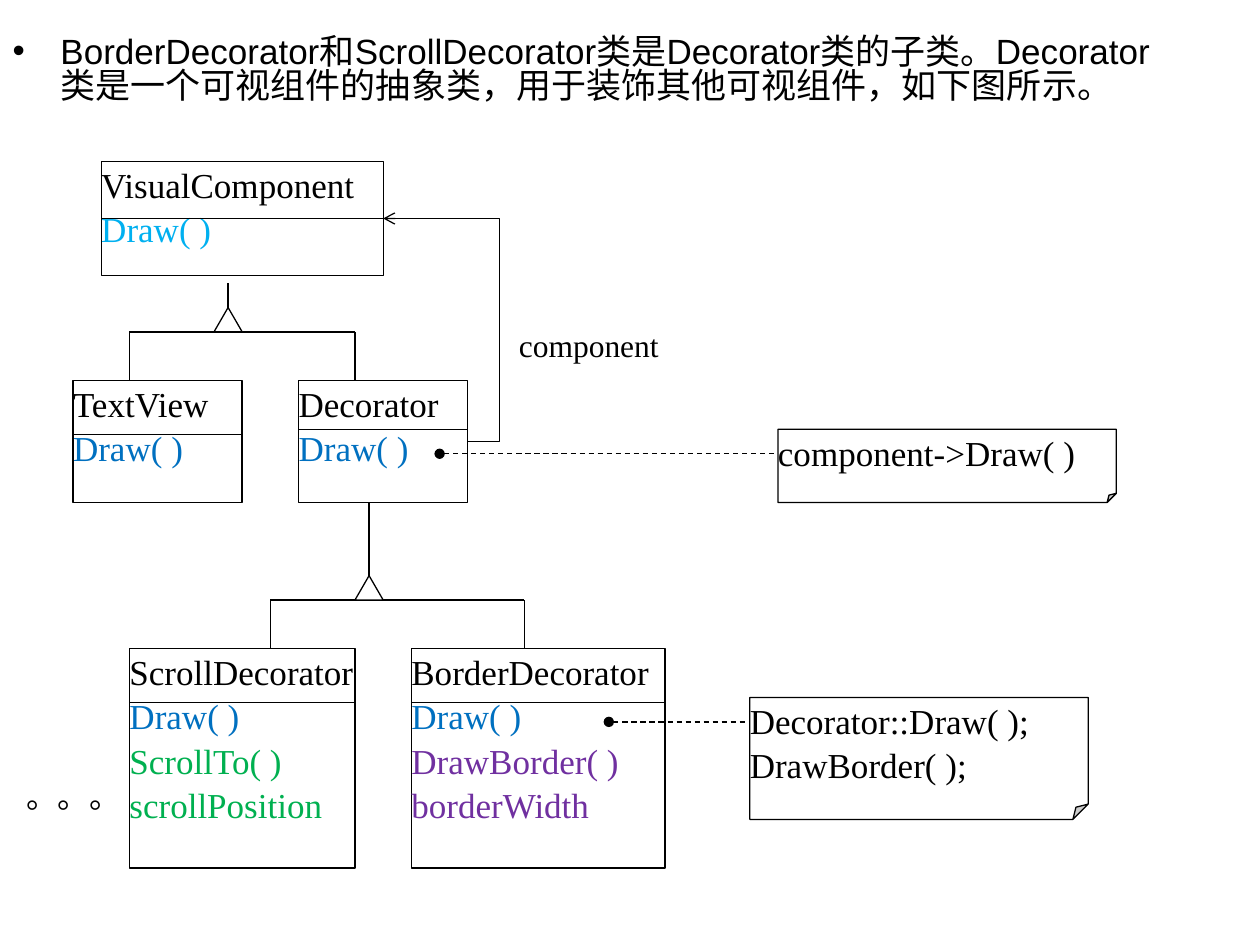
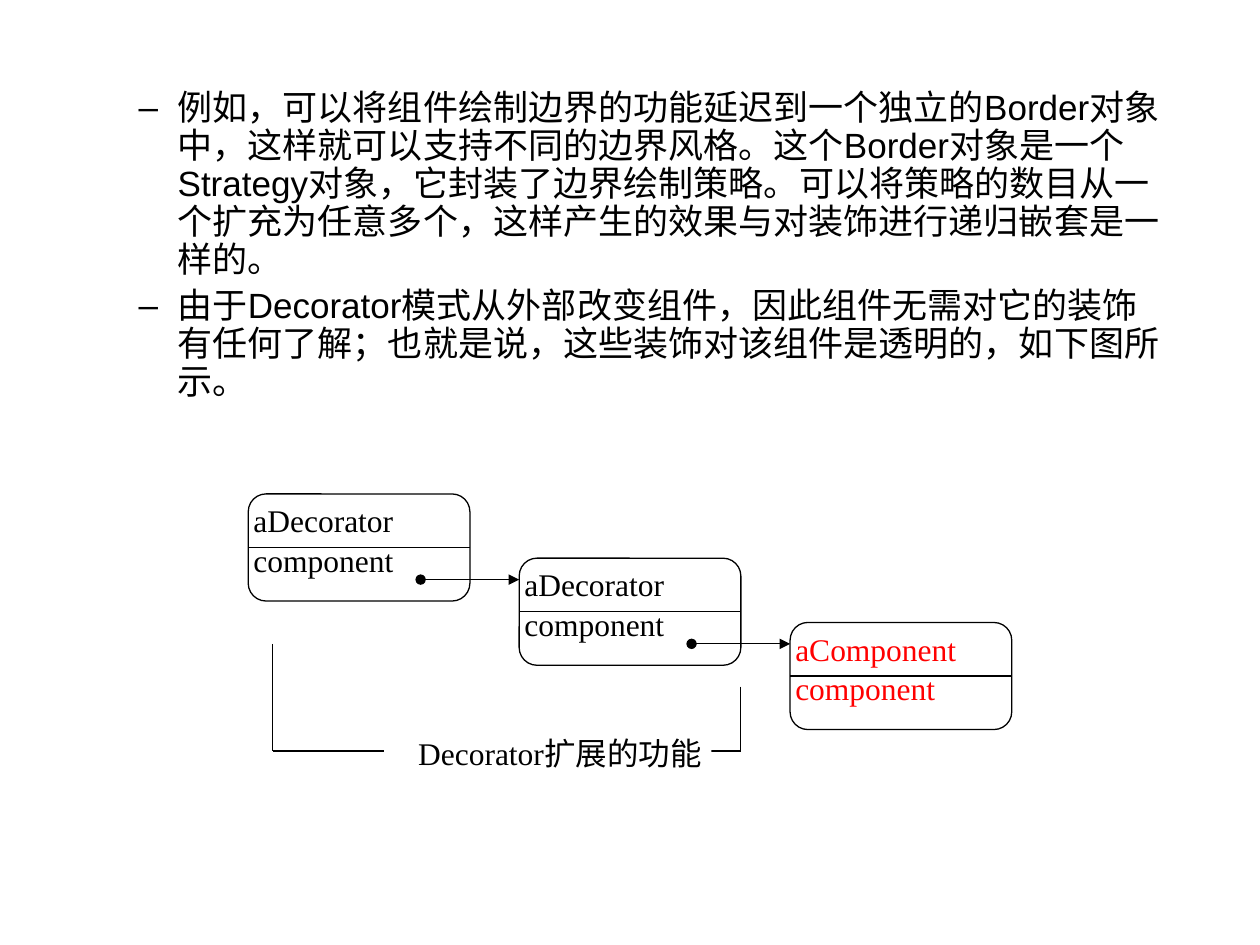
from dataclasses import dataclass

from lxml import etree
from pptx import Presentation, util as u
from pptx.dml.color import RGBColor
from pptx.enum import dml, shapes, text
from pptx.oxml.ns import qn

COLORS = {
    "ink": "000000", "paper": "FFFFFF", "base": "00B0F0", "override": "0070C0",
    "scroll": "00B050", "border": "7030A0", "core": "FF0000",
}
SERIF, SANS = "Times New Roman", "Arial"
SHAPE = shapes.MSO_SHAPE
LEFT, RIGHT = 1, 3


@dataclass
class Grid:
    """A diagram area split into equal columns and rows."""
    left: float
    top: float
    width: float
    height: float
    cols: int
    rows: int

    def point(self, col, row):
        return (u.Inches(self.left + col * self.width / self.cols),
                u.Inches(self.top + row * self.height / self.rows))

    def box(self, col, row, cols, rows):
        return (*self.point(col, row),
                u.Inches(cols * self.width / self.cols),
                u.Inches(rows * self.height / self.rows))


def rgb(name):
    return RGBColor.from_string(COLORS[name])


def add_run(paragraph, words, size, font=SERIF, color="ink"):
    run = paragraph.add_run()
    run.text = words
    run.font.size = u.Pt(size)
    run.font.name = font
    run.font.color.rgb = rgb(color)


def paragraphs(frame, count):
    """Yield the first paragraph of a frame, then new ones."""
    for index in range(count):
        yield frame.paragraphs[0] if index == 0 else frame.add_paragraph()


def set_guide(shape, name, value):
    """Set a preset geometry guide, in 1/100000 of the shape's size."""
    guides = shape._element.spPr.find(qn("a:prstGeom")).get_or_add_avLst()
    for old in list(guides):
        guides.remove(old)
    etree.SubElement(guides, qn("a:gd"), name=name, fmla=f"val {value}")


# Text at the top of a slide
def add_body(slide, box, items, bullet, level, indent, hanging, spacing):
    title = slide.shapes.title
    title.element.getparent().remove(title.element)
    body = slide.placeholders[1]
    body.left, body.top, body.width, body.height = map(u.Inches, box)
    frame = body.text_frame
    frame.auto_size = text.MSO_AUTO_SIZE.NONE
    frame.vertical_anchor = text.MSO_ANCHOR.TOP
    for index, (item, paragraph) in enumerate(zip(items, paragraphs(frame, len(items)))):
        paragraph.level = level
        props = paragraph._p.get_or_add_pPr()
        props.set("marL", str(u.Inches(indent)))
        props.set("indent", str(-u.Inches(hanging)))
        tint = etree.SubElement(props, qn("a:buClr"))
        etree.SubElement(tint, qn("a:srgbClr"), val=COLORS["ink"])
        etree.SubElement(props, qn("a:buFont"), typeface=SANS)
        etree.SubElement(props, qn("a:buChar"), char=bullet)
        paragraph.line_spacing = spacing
        paragraph.space_before = u.Pt(5 if index else 0)
        add_run(paragraph, item, 20, SANS)


# Diagram parts
def add_shape(slide, grid, kind, place, lines=(), size=20, outlined=True):
    shape = slide.shapes.add_shape(kind, *grid.box(*place))
    shape.shadow.inherit = False
    shape.fill.solid()
    shape.fill.fore_color.rgb = rgb("paper")
    if outlined:
        shape.line.color.rgb = rgb("ink")
        shape.line.width = u.Pt(0.75)
    else:
        shape.line.fill.background()
    frame = shape.text_frame
    frame.word_wrap = True
    frame.vertical_anchor = text.MSO_ANCHOR.TOP
    frame.margin_left = frame.margin_top = frame.margin_right = frame.margin_bottom = 0
    for (words, color), paragraph in zip(lines, paragraphs(frame, len(lines))):
        paragraph.alignment = text.PP_ALIGN.JUSTIFY
        paragraph.line_spacing = 1.05
        add_run(paragraph, words, size, color=color)
    return shape


def add_line(slide, grid, start, end, head=None, tail=None, dashed=False,
             kind=shapes.MSO_CONNECTOR.STRAIGHT):
    line = slide.shapes.add_connector(kind, *grid.point(*start), *grid.point(*end))
    line.line.color.rgb = rgb("ink")
    line.line.width = u.Pt(0.75)
    if dashed:
        line.line.dash_style = dml.MSO_LINE.DASH
    outline = line.line._get_or_add_ln()
    for tag, style in (("a:headEnd", head), ("a:tailEnd", tail)):
        if style:
            etree.SubElement(outline, qn(tag), type=style)
    etree.SubElement(line._element.spPr, qn("a:effectLst"))
    return line


def add_divided_box(slide, grid, kind, place, lines, divider, size=20):
    """A box whose name is ruled off from its members."""
    col, row, cols, rows = place
    box = add_shape(slide, grid, kind, place, lines, size)
    rule = add_line(slide, grid, (col, row + divider), (col + cols, row + divider))
    if divider == rows / 2:
        rule.begin_connect(box, LEFT)
        rule.end_connect(box, RIGHT)
    return box


def add_inheritance(slide, grid, apex, stem_top, bar_row, children, child_row):
    """Triangle under a parent class, with a bar and a drop to each child."""
    add_line(slide, grid, (children[0], bar_row), (children[-1], bar_row))
    for child in children:
        add_line(slide, grid, (child, bar_row), (child, child_row))
    add_shape(slide, grid, SHAPE.ISOSCELES_TRIANGLE, (apex - 0.5, bar_row - 1, 1, 1))
    add_line(slide, grid, (apex, stem_top), (apex, bar_row - 1))


def add_label(slide, grid, place, words, font):
    label = slide.shapes.add_textbox(*grid.box(*place))
    label.text_frame.word_wrap = False
    label.text_frame.auto_size = text.MSO_AUTO_SIZE.SHAPE_TO_FIT_TEXT
    add_run(label.text_frame.paragraphs[0], words, 18, font)


# Class structure
def add_class_diagram(slide, grid):
    draw = ("Draw( )", "override")
    classes = [
        ("VisualComponent", (1, 0, 10, 4.7), 2.35, [("Draw( )", "base")]),
        ("TextView", (0, 9, 6, 5), 2.2, [draw]),
        ("Decorator", (8, 9, 6, 5), 2, [draw]),
        ("ScrollDecorator", (2, 20, 8, 9), 2.2,
         [draw, ("ScrollTo( )", "scroll"), ("scrollPosition", "scroll")]),
        ("BorderDecorator", (12, 20, 9, 9), 2.2,
         [draw, ("DrawBorder( )", "border"), ("borderWidth", "border")]),
    ]
    boxes = {name: add_divided_box(slide, grid, SHAPE.RECTANGLE, place,
                                   [(name, "ink"), *members], divider)
             for name, place, divider, members in classes}

    notes = [
        ((25, 11, 12, 3), (13, 12), ["component->Draw( )"]),
        ((24, 22, 12, 5), (19, 23), ["Decorator::Draw( );", "DrawBorder( );"]),
    ]
    for place, method, code in notes:
        note = add_shape(slide, grid, SHAPE.FOLDED_CORNER, place,
                         [(line, "ink") for line in code])
        set_guide(note, "adj", 12500)
        add_line(slide, grid, method, (place[0], method[1]), head="oval", dashed=True)

    add_inheritance(slide, grid, 5.5, 5, 7, (2, 10), 9)
    add_inheritance(slide, grid, 10.5, 14, 18, (7, 16), 20)

    # Reference from the decorator back to its component
    reference = add_line(slide, grid, (14, 11.5), (11, 2.35), tail="arrow",
                         kind=shapes.MSO_CONNECTOR.ELBOW)
    reference.begin_connect(boxes["Decorator"], RIGHT)
    reference.end_connect(boxes["VisualComponent"], RIGHT)
    set_guide(reference, "adj1", -37200)
    add_label(slide, grid, (15.37, 6.5, 5.85, 2.07), "component", SERIF)
    add_label(slide, grid, (-2.1, 25, 4.25, 2.07), "。。。", SANS)


# Chain of objects
def add_object_chain(slide, grid):
    step_cols, step_rows, cols, rows = 11, 3, 9, 5
    chain = [("aDecorator", "ink"), ("aDecorator", "ink"), ("aComponent", "core")]
    for index, (name, color) in enumerate(chain):
        col, row = index * step_cols, index * step_rows
        add_divided_box(slide, grid, SHAPE.ROUNDED_RECTANGLE, (col, row, cols, rows),
                        [(name, color), ("component", color)], rows / 2, 18)
    for index in range(len(chain) - 1):
        col, row = index * step_cols, index * step_rows + 4
        add_line(slide, grid, (col + 7, row), (col + step_cols, row),
                 head="oval", tail="triangle")

    # Bracket under the decorators
    for outer, inner, top in ((1, 5.5, 7), (20, 18, 9)):
        add_line(slide, grid, (outer, 12), (inner, 12))
        add_line(slide, grid, (outer, top), (outer, 12))
    add_shape(slide, grid, SHAPE.RECTANGLE, (6.9, 11.1, 11.9, 2.5),
              [("Decorator扩展的功能", "ink")], 18, outlined=False)


def main():
    deck = Presentation()
    deck.slide_width, deck.slide_height = u.Inches(10), u.Inches(7.5)
    layout = deck.slide_layouts[1]

    structure = deck.slides.add_slide(layout)
    add_body(structure, (0, 0.25, 9.25, 1), [
        "BorderDecorator和ScrollDecorator类是Decorator类的子类。"
        "Decorator类是一个可视组件的抽象类，用于装饰其他可视组件，如下图所示。",
    ], "•", 0, 0.38, 0.38, 0.8)
    add_class_diagram(structure, Grid(0.58, 1.28, 8.28, 5.61, 37, 29))

    nesting = deck.slides.add_slide(layout)
    add_body(nesting, (0.5, 0.67, 8.83, 2.75), [
        "例如，可以将组件绘制边界的功能延迟到一个独立的Border对象中，"
        "这样就可以支持不同的边界风格。这个Border对象是一个Strategy对象，"
        "它封装了边界绘制策略。可以将策略的数目从一个扩充为任意多个，"
        "这样产生的效果与对装饰进行递归嵌套是一样的。",
        "由于Decorator模式从外部改变组件，因此组件无需对它的装饰有任何了解；"
        "也就是说，这些装饰对该组件是透明的，如下图所示。",
    ], "–", 1, 0.81, 0.31, 0.9)
    add_object_chain(nesting, Grid(1.97, 3.92, 6.06, 2.04, 31, 12))

    deck.save("out.pptx")


if __name__ == "__main__":
    main()
